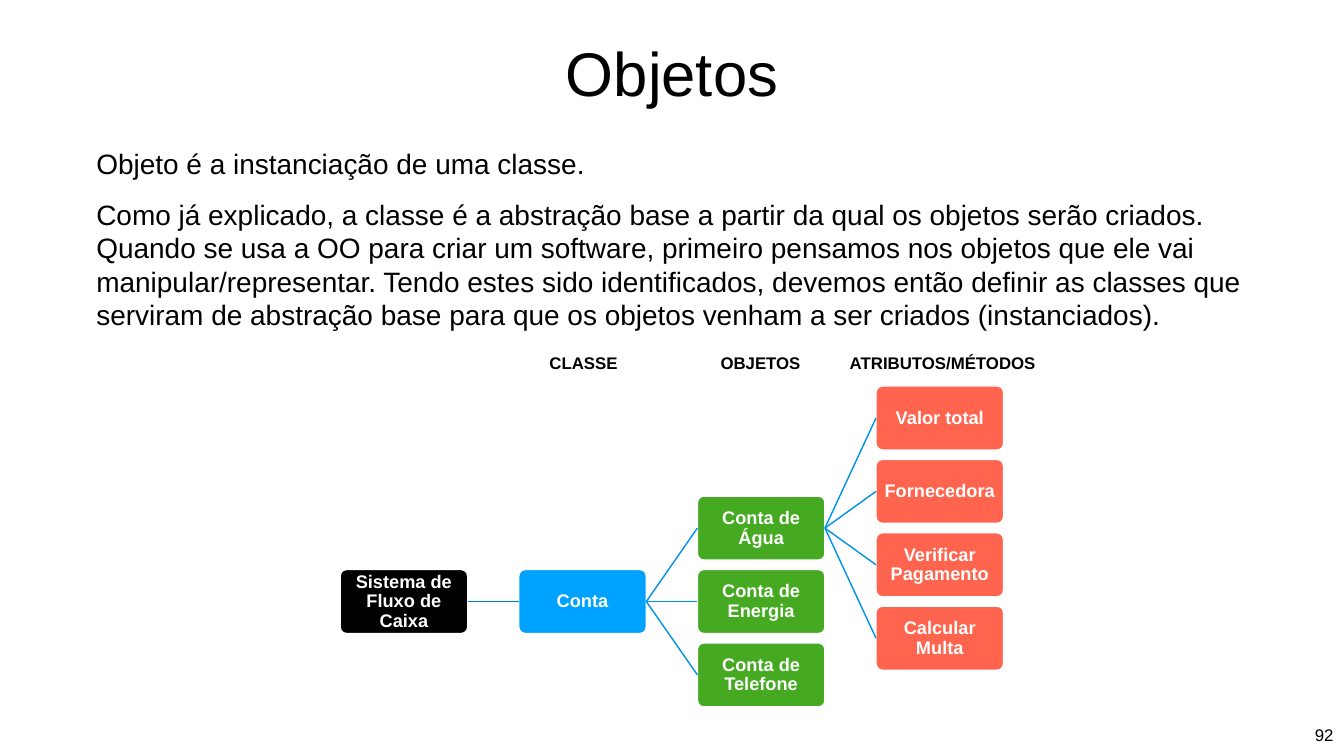
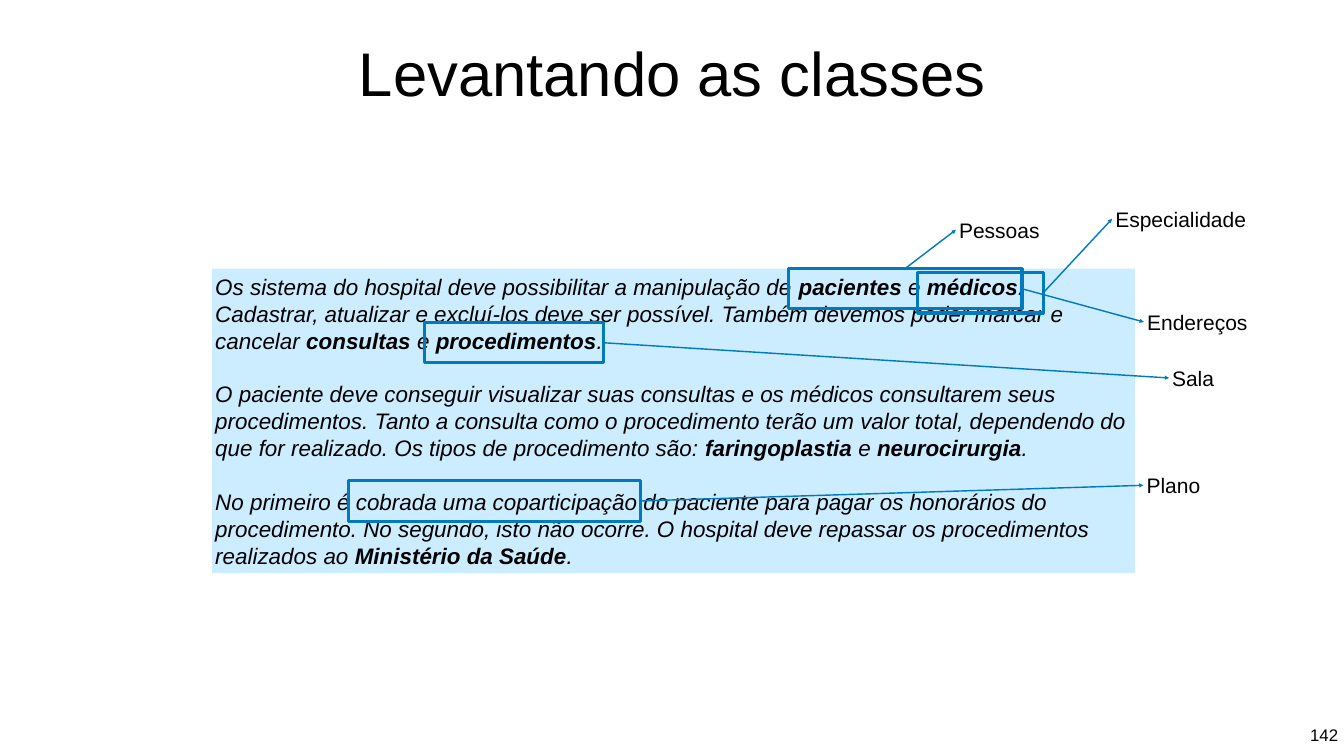
from dataclasses import dataclass, field
from typing import Any, NamedTuple, Optional

import lxml.etree
import pptx
import pptx.dml.color
import pptx.enum.shapes
import pptx.enum.text
import pptx.oxml.ns
import pptx.util

Pt = pptx.util.Pt
SHAPE = pptx.enum.shapes.MSO_SHAPE
ALIGN = pptx.enum.text.PP_ALIGN
ANCHOR = pptx.enum.text.MSO_ANCHOR
TOP, LEFT, RIGHT = 0, 1, 3
TITLE_ONLY, TITLE_AND_BODY = 5, 1
SLIDE_W, SLIDE_H = pptx.util.Inches(26.67), pptx.util.Inches(15)


@dataclass(frozen=True)
class Theme:
    font: str = "Arial"
    ink: str = "000000"
    paper: str = "FFFFFF"
    panel: str = "CCECFF"
    mark: str = "0079BF"
    root_link: str = "0082CC"
    link: str = "0093E7"
    klass: str = "00A2FF"
    instance: str = "45AA21"
    member: str = "FF644E"
    title: int = 88
    body: int = 40
    passage: int = 32
    label: int = 30
    node: int = 26
    small: int = 24
    leading: float = 1.2
    tight_leading: float = 1.08
    thin: float = 2
    thick: float = 4.5
    inset: float = 0.06
    node_inset: float = 0.02


THEME = Theme()


class Box(NamedTuple):
    """Left, top, width and height as percentages of the slide."""
    x: float
    y: float
    w: float
    h: float


class Node(NamedTuple):
    text: str
    col: int
    row: float
    fill: str
    parent: Optional[str] = None
    link: str = THEME.link


class Label(NamedTuple):
    text: str
    box: Box


class Arrow(NamedTuple):
    mark: str
    side: int
    label: str


@dataclass(frozen=True)
class Style:
    size: int
    color: str = THEME.ink
    align: Any = ALIGN.CENTER
    anchor: Any = ANCHOR.MIDDLE
    wrap: bool = True
    inset: float = THEME.inset
    leading: Optional[float] = None
    after: float = 0
    font: dict = field(default_factory=dict)


TITLE = Style(THEME.title)
BODY = Style(THEME.body, align=ALIGN.LEFT, anchor=ANCHOR.TOP,
             leading=THEME.leading, after=24)
PASSAGE = Style(THEME.passage, align=ALIGN.LEFT, leading=THEME.leading,
                after=THEME.passage * THEME.leading, font={"italic": True})
NODE = Style(THEME.node, THEME.paper, inset=THEME.node_inset,
             leading=THEME.tight_leading, font={"bold": True})
HEADING = Style(THEME.small, wrap=False, font={"bold": True})
LABEL = Style(THEME.label, wrap=False)
NUMBER = Style(THEME.small, anchor=ANCHOR.TOP, wrap=False)

TITLE_BOX = Box(6.94, 2.6, 86.13, 13.8)
BODY_BOX = Box(6.94, 19, 86.13, 77.33)
NUMBER_BOX = Box(97.3, 95.4, 2.44, 3.47)
PASSAGE_BOX = Box(15.79, 35.53, 68.65, 40.27)
ROOT_BOX = Box(25.31, 75.33, 9.49, 8.47)
COL_PITCH, ROW_PITCH = 13.29, 9.71

OBJECT_TEXT = [
    "Objeto é a instanciação de uma classe.",
    "Como já explicado, a classe é a abstração base a partir da qual os objetos "
    "serão criados. Quando se usa a OO para criar um software, primeiro pensamos "
    "nos objetos que ele vai manipular/representar. Tendo estes sido "
    "identificados, devemos então definir as classes que serviram de abstração "
    "base para que os objetos venham a ser criados (instanciados).",
]

NODES = [
    Node("Sistema de Fluxo de Caixa", 0, 0, THEME.ink),
    Node("Conta", 1, 0, THEME.klass, "Sistema de Fluxo de Caixa", THEME.root_link),
    *(Node(f"Conta de {name}", 2, row, THEME.instance, "Conta")
      for row, name in enumerate(["Água", "Energia", "Telefone"], -1)),
    *(Node(name, 3, i - 2.5, THEME.member, "Conta de Água")
      for i, name in enumerate(["Valor total", "Fornecedora",
                                "Verificar Pagamento", "Calcular Multa"])),
]

HEADINGS = [
    Label("CLASSE", Box(40.64, 46.2, 5.55, 3.47)),
    Label("OBJETOS", Box(53.36, 46.2, 6.45, 3.47)),
    Label("ATRIBUTOS/MÉTODOS", Box(62.88, 46.2, 14.51, 3.47)),
]

HOSPITAL_TEXT = [
    "Os sistema do hospital deve possibilitar a manipulação de *pacientes* e "
    "*médicos*. Cadastrar, atualizar e excluí-los deve ser possível. Também "
    "devemos poder marcar e cancelar *consultas* e *procedimentos*.",
    "O paciente deve conseguir visualizar suas consultas e os médicos consultarem "
    "seus procedimentos. Tanto a consulta como o procedimento terão um valor "
    "total, dependendo do que for realizado. Os tipos de procedimento são: "
    "*faringoplastia* e *neurocirurgia*.",
    "No primeiro é cobrada uma coparticipação do paciente para pagar os "
    "honorários do procedimento. No segundo, isto não ocorre. O hospital deve "
    "repassar os procedimentos realizados ao *Ministério da Saúde*.",
]

MARKS = {
    "pessoas": Box(58.64, 35.53, 17.4, 5.33),
    "procedimentos": Box(31.57, 42.67, 13.31, 5.33),
    "médicos": Box(68.28, 36.07, 9.34, 5.33),
    "coparticipação": Box(25.95, 63.6, 21.71, 5.33),
}

LABELS = [
    Label("Pessoas", Box(71.13, 28.33, 6.45, 4.13)),
    Label("Endereços", Box(85.11, 40.53, 7.95, 4.13)),
    Label("Sala", Box(86.99, 47.93, 3.56, 4.13)),
    Label("Especialidade", Box(82.75, 26.87, 10.2, 4.13)),
    Label("Plano", Box(85.08, 62.13, 4.46, 4.13)),
]

ARROWS = [
    Arrow("pessoas", TOP, "Pessoas"),
    Arrow("pessoas", RIGHT, "Endereços"),
    Arrow("procedimentos", RIGHT, "Sala"),
    Arrow("médicos", RIGHT, "Especialidade"),
    Arrow("coparticipação", RIGHT, "Plano"),
]


def rgb(color: str) -> pptx.dml.color.RGBColor:
    return pptx.dml.color.RGBColor.from_string(color)


def apply(target: Any, values: dict) -> None:
    for name, value in values.items():
        setattr(target, name, value)


def place(box: Box) -> tuple[int, int, int, int]:
    return (int(SLIDE_W * box.x / 100), int(SLIDE_H * box.y / 100),
            int(SLIDE_W * box.w / 100), int(SLIDE_H * box.h / 100))


def write(sp: Any, paragraphs: list[str], style: Style) -> None:
    tf = sp.text_frame
    inset = pptx.util.Inches(style.inset)
    apply(tf, {"word_wrap": style.wrap, "vertical_anchor": style.anchor,
               "auto_size": pptx.enum.text.MSO_AUTO_SIZE.NONE,
               "margin_left": inset, "margin_right": inset,
               "margin_top": inset, "margin_bottom": inset})
    for i, text in enumerate(paragraphs):
        p = tf.add_paragraph() if i else tf.paragraphs[0]
        last = i == len(paragraphs) - 1
        apply(p, {"alignment": style.align, "space_before": Pt(0),
                  "space_after": Pt(0 if last else style.after)})
        if style.leading:
            p.line_spacing = Pt(style.size * style.leading)
        for j, part in enumerate(text.split("*")):
            r = p.add_run()
            r.text = part
            apply(r.font, {"name": THEME.font, "size": Pt(style.size),
                           "bold": bool(j % 2), **style.font})
            r.font.color.rgb = rgb(style.color)


def fill_placeholder(sp: Any, box: Box, paragraphs: list[str], style: Style) -> None:
    apply(sp, dict(zip(("left", "top", "width", "height"), place(box))))
    write(sp, paragraphs, style)


def add_label(s: Any, label: Label, style: Style) -> Any:
    sp = s.shapes.add_textbox(*place(label.box))
    write(sp, [label.text], style)
    return sp


def add_box(s: Any, kind: Any, box: Box, fill: Optional[str] = None,
            line: Optional[str] = None, width: float = THEME.thin) -> Any:
    sp = s.shapes.add_shape(kind, *place(box))
    sp.shadow.inherit = False
    if fill:
        sp.fill.solid()
        sp.fill.fore_color.rgb = rgb(fill)
    else:
        sp.fill.background()
    if line:
        sp.line.color.rgb = rgb(line)
        sp.line.width = Pt(width)
    else:
        sp.line.fill.background()
    return sp


def join(s: Any, start: Any, side: int, end: Any, color: str,
         arrow: bool = False) -> None:
    c = s.shapes.add_connector(pptx.enum.shapes.MSO_CONNECTOR.STRAIGHT, 0, 0, 0, 0)
    c.begin_connect(start, side)
    c.end_connect(end, LEFT)
    c.line.color.rgb = rgb(color)
    c.line.width = Pt(THEME.thin)
    qn = pptx.oxml.ns.qn
    if arrow:
        lxml.etree.SubElement(c.line._get_or_add_ln(), qn("a:tailEnd"), type="triangle")
    lxml.etree.SubElement(c._element.spPr, qn("a:effectLst"))


def new_slide(prs: Any, layout: int, title: str, number: int) -> Any:
    s = prs.slides.add_slide(prs.slide_layouts[layout])
    s.background.fill.solid()
    s.background.fill.fore_color.rgb = rgb(THEME.paper)
    fill_placeholder(s.shapes.title, TITLE_BOX, [title], TITLE)
    add_label(s, Label(str(number), NUMBER_BOX), NUMBER)
    return s


def build_objects(prs: Any) -> None:
    s = new_slide(prs, TITLE_AND_BODY, "Objetos", 92)
    body = s.placeholders[1]
    fill_placeholder(body, BODY_BOX, OBJECT_TEXT, BODY)
    body.fill.solid()
    body.fill.fore_color.rgb = rgb(THEME.paper)
    for p in body.text_frame.paragraphs:
        pPr = p._p.get_or_add_pPr()
        pPr.set("marL", "0")
        pPr.set("indent", "0")
        lxml.etree.SubElement(pPr, pptx.oxml.ns.qn("a:buNone"))
    drawn = {}
    for node in NODES:
        box = ROOT_BOX._replace(x=ROOT_BOX.x + node.col * COL_PITCH,
                                y=ROOT_BOX.y + node.row * ROW_PITCH)
        sp = add_box(s, SHAPE.ROUNDED_RECTANGLE, box, node.fill, THEME.paper)
        sp.adjustments[0] = 0.1
        write(sp, [node.text], NODE)
        drawn[node.text] = sp
        if node.parent:
            join(s, drawn[node.parent], RIGHT, sp, node.link)
    for heading in HEADINGS:
        add_label(s, heading, HEADING)


def build_classes(prs: Any) -> None:
    s = new_slide(prs, TITLE_ONLY, "Levantando as classes", 142)
    write(add_box(s, SHAPE.RECTANGLE, PASSAGE_BOX, THEME.panel), HOSPITAL_TEXT, PASSAGE)
    marks = {name: add_box(s, SHAPE.RECTANGLE, box, line=THEME.mark, width=THEME.thick)
             for name, box in MARKS.items()}
    labels = {label.text: add_label(s, label, LABEL) for label in LABELS}
    for arrow in ARROWS:
        join(s, marks[arrow.mark], arrow.side, labels[arrow.label], THEME.mark, True)


def main() -> None:
    prs = pptx.Presentation()
    apply(prs, {"slide_width": SLIDE_W, "slide_height": SLIDE_H})
    build_objects(prs)
    build_classes(prs)
    prs.save("out.pptx")


if __name__ == "__main__":
    main()
